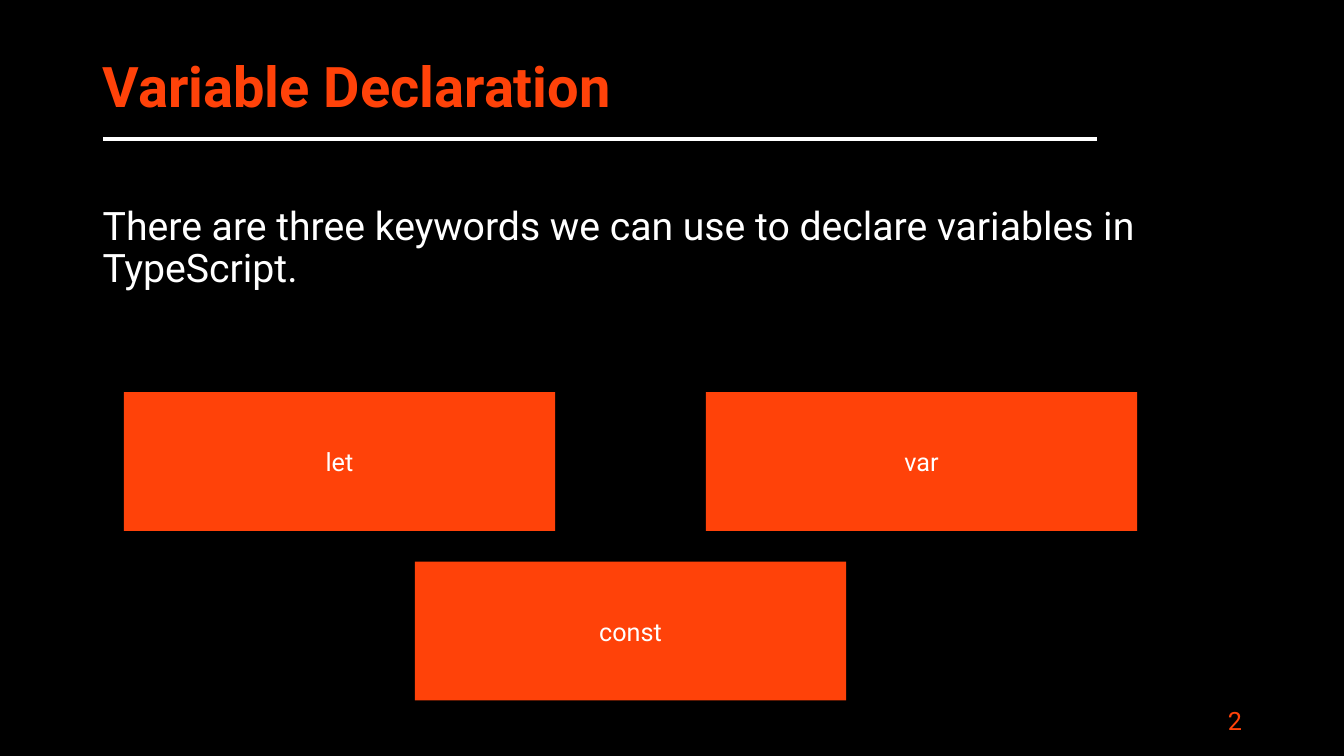
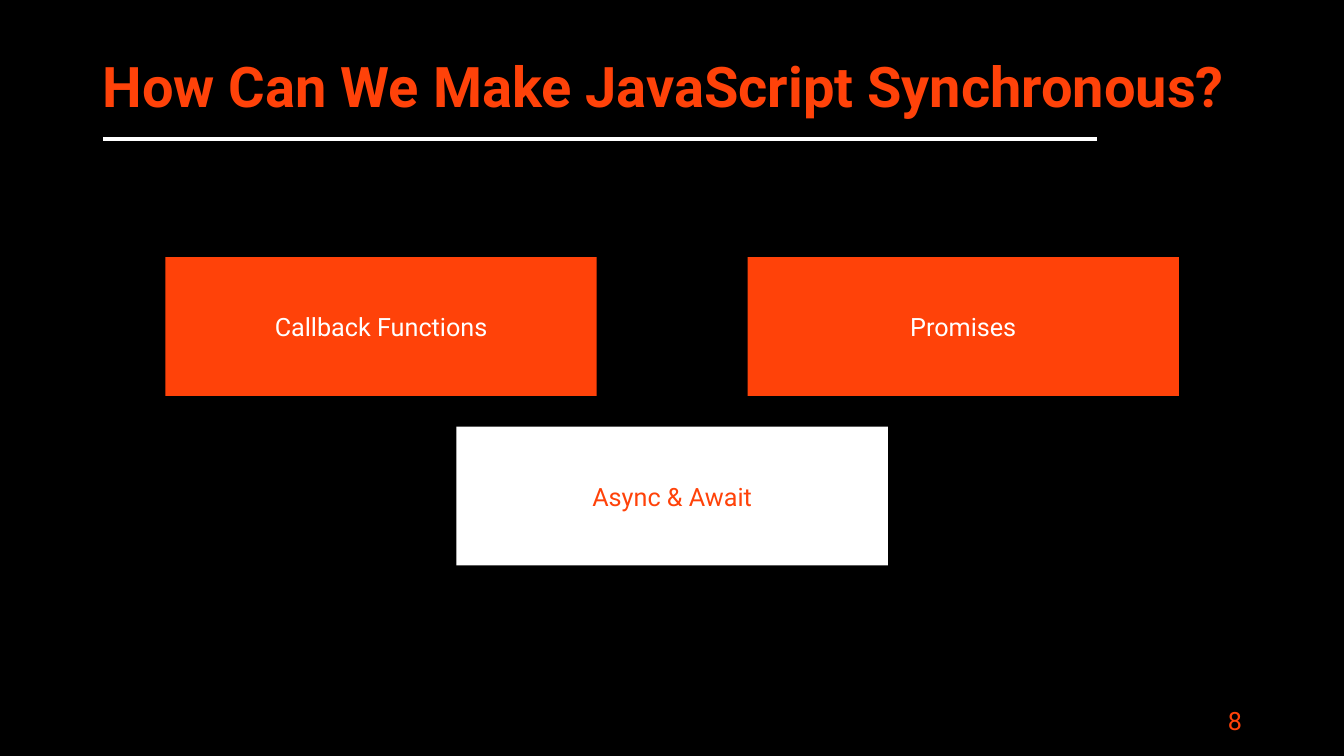
from lxml.etree import SubElement
from pptx import Presentation
from pptx.dml.color import RGBColor
from pptx.enum.shapes import MSO_CONNECTOR, MSO_SHAPE
from pptx.enum.text import MSO_ANCHOR, PP_ALIGN
from pptx.oxml.ns import qn
from pptx.util import Cm, Pt

SLIDES = [
    {
        "title": "Variable Declaration",
        "body": "There are three keywords we can use to declare variables in TypeScript.",
        "number": "2",
        "boxes": ["let", "var", "const"],
        "highlight": None,
        "origin": (3.12, 9.88),
    },
    {
        "title": "How Can We Make JavaScript Synchronous?",
        "body": None,
        "number": "8",
        "boxes": ["Callback Functions", "Promises", "Async & Await"],
        "highlight": "Async & Await",
        "origin": (4.17, 6.48),
    },
]

COLORS = {"background": "000000", "accent": "FF4209", "light": "FFFFFF"}
FONT = "Roboto"

# Lengths in centimetres
SLIDE_SIZE = (33.87, 19.05)
TITLE_AREA = (2.34, 1.02, 29.21, 2.49)
BODY_AREA = (2.34, 5.08, 29.21, 3.86)
NUMBER_AREA = (23.93, 17.65, 7.62, 1.02)
RULE_LEFT, RULE_RIGHT, RULE_Y = 2.59, 27.64, 3.51
BOX_WIDTH, BOX_HEIGHT = 10.87, 3.5
GAP_X, GAP_Y = 3.8, 0.77


def color(name):
    return RGBColor.from_string(COLORS[name])


def write(shape, text, size, color_name, align=PP_ALIGN.LEFT, anchor=MSO_ANCHOR.MIDDLE):
    frame = shape.text_frame
    frame.word_wrap = True
    frame.vertical_anchor = anchor
    paragraph = frame.paragraphs[0]
    paragraph.text = text
    paragraph.alignment = align
    paragraph.font.name = FONT
    paragraph.font.size = Pt(size)
    paragraph.font.color.rgb = color(color_name)
    return paragraph


def add_text(slide, area, *args, **options):
    return write(slide.shapes.add_textbox(*map(Cm, area)), *args, **options)


def add_frame(slide, title, number):
    """Add what every slide shares: background, title, rule and number."""
    slide.background.fill.solid()
    slide.background.fill.fore_color.rgb = color("background")

    heading = add_text(slide, TITLE_AREA, title, 40, "accent")
    heading.font.bold = True
    heading.line_spacing = 0.9

    rule = slide.shapes.add_connector(
        MSO_CONNECTOR.STRAIGHT, Cm(RULE_RIGHT), Cm(RULE_Y), Cm(RULE_LEFT), Cm(RULE_Y)
    )
    rule.line.color.rgb = color("light")
    rule.line.width = Pt(3)
    SubElement(rule._element.spPr, qn("a:effectLst"))

    add_text(slide, NUMBER_AREA, number, 18, "accent", align=PP_ALIGN.RIGHT)


def add_body(slide, text):
    paragraph = add_text(slide, BODY_AREA, text, 28, "light", anchor=MSO_ANCHOR.TOP)
    paragraph.line_spacing = 0.9
    paragraph.space_before = Pt(10)


def add_boxes(slide, labels, highlight, origin):
    """Place two boxes side by side and the third centred below them."""
    left, top = origin
    step_x, step_y = BOX_WIDTH + GAP_X, BOX_HEIGHT + GAP_Y
    for label, (column, row) in zip(labels, [(0, 0), (1, 0), (0.5, 1)]):
        box = slide.shapes.add_shape(
            MSO_SHAPE.RECTANGLE,
            Cm(left + column * step_x),
            Cm(top + row * step_y),
            Cm(BOX_WIDTH),
            Cm(BOX_HEIGHT),
        )
        fill, ink = ("light", "accent") if label == highlight else ("accent", "light")
        box.shadow.inherit = False
        box.fill.solid()
        box.fill.fore_color.rgb = color(fill)
        box.line.fill.background()
        write(box, label, 18, ink, align=PP_ALIGN.CENTER)


def main():
    presentation = Presentation()
    presentation.slide_width, presentation.slide_height = map(Cm, SLIDE_SIZE)
    blank_layout = presentation.slide_layouts[6]
    for content in SLIDES:
        slide = presentation.slides.add_slide(blank_layout)
        add_frame(slide, content["title"], content["number"])
        if content["body"]:
            add_body(slide, content["body"])
        add_boxes(slide, content["boxes"], content["highlight"], content["origin"])
    presentation.save("out.pptx")


if __name__ == "__main__":
    main()
